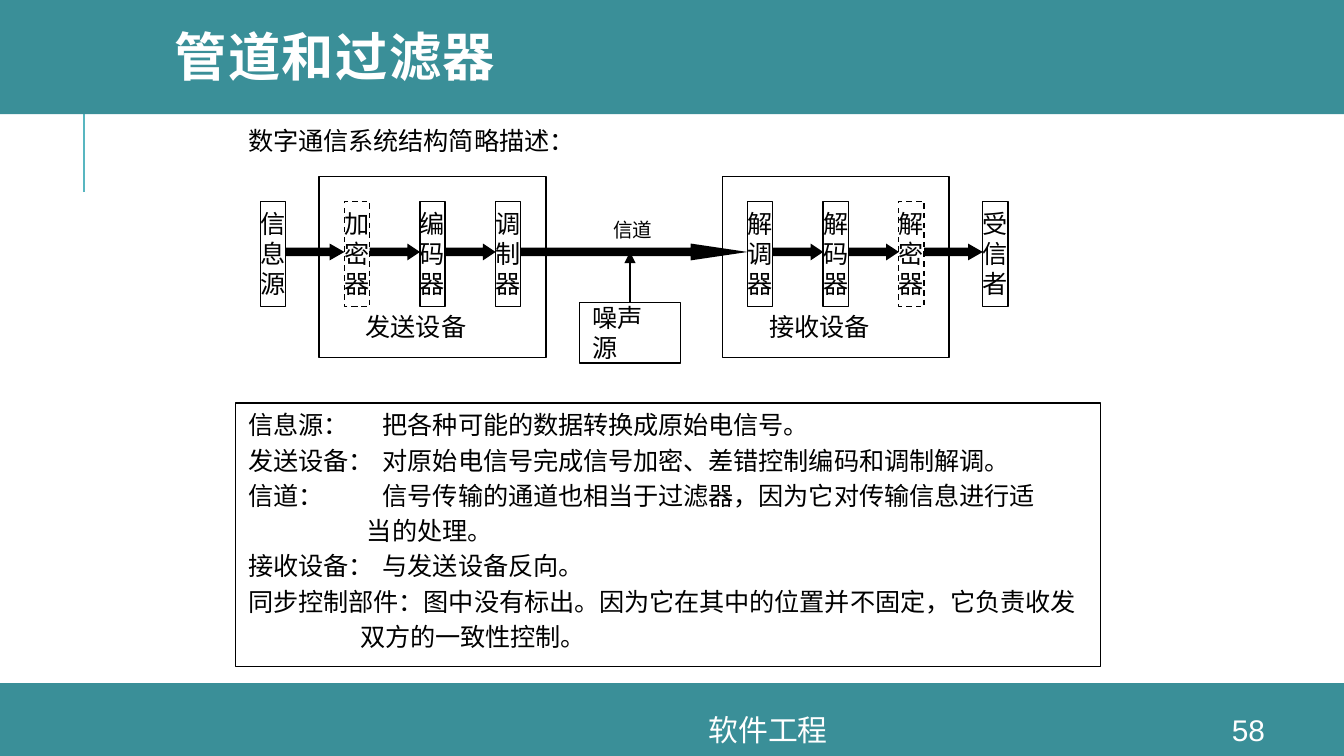
from lxml.etree import SubElement
from pptx import Presentation
from pptx.dml.color import RGBColor
from pptx.enum.dml import MSO_LINE
from pptx.enum.shapes import MSO_CONNECTOR, MSO_SHAPE
from pptx.enum.text import MSO_ANCHOR, PP_ALIGN
from pptx.oxml.ns import qn
from pptx.util import Pt

TEAL = RGBColor(0x3A, 0x8F, 0x98)
AQUA = RGBColor(0x58, 0xB6, 0xC0)
BLACK = RGBColor(0, 0, 0)
WHITE = RGBColor(255, 255, 255)

deck = Presentation()
deck.slide_width, deck.slide_height = Pt(720), Pt(405)
slide = deck.slides.add_slide(deck.slide_layouts[6])
shapes = slide.shapes


def add_box(x, y, w, h, text="", size=13.5, color=BLACK, fill=None, line=None,
            kind=MSO_SHAPE.RECTANGLE, inset=(7.2, 3.6, 7.2, 3.6),
            anchor=MSO_ANCHOR.TOP, align=PP_ALIGN.LEFT):
    """Add a shape, unfilled and unlined unless colours are given."""
    box = shapes.add_shape(kind, Pt(x), Pt(y), Pt(w), Pt(h))
    box.shadow.inherit = False
    if fill is None:
        box.fill.background()
    else:
        box.fill.solid()
        box.fill.fore_color.rgb = fill
    if line is None:
        box.line.fill.background()
    else:
        box.line.color.rgb = line
        box.line.width = Pt(0.75)
    frame = box.text_frame
    frame.word_wrap = True
    frame.vertical_anchor = anchor
    frame.margin_left, frame.margin_top, frame.margin_right, frame.margin_bottom = map(Pt, inset)
    frame.text = text
    for para in frame.paragraphs:
        para.alignment = align
        para.font.size = Pt(size)
        para.font.name = "Arial"
        para.font.color.rgb = color
    return box


def add_line(x1, y1, x2, y2, color, width):
    line = shapes.add_connector(MSO_CONNECTOR.STRAIGHT, Pt(x1), Pt(y1), Pt(x2), Pt(y2))
    line.line.color.rgb = color
    line.line.width = Pt(width)
    SubElement(line._element.spPr, qn("a:effectLst"))
    return line


# Bands, title and footer
add_line(45, 103, 45, 49, AQUA, 1.5)
add_box(0, 366, 720, 39, fill=TEAL)
add_box(0, -2, 720, 63.2, fill=TEAL)
title = add_box(86.4, 0, 611, 65.5, "管道和过滤器", 28, WHITE, anchor=MSO_ANCHOR.MIDDLE)
para = title.text_frame.paragraphs[0]
para.line_spacing = 0.8
run = para.runs[0]
run.font.name = "Montserrat"
run.font.bold = True
run.font.size = Pt(28)
run.font.color.rgb = WHITE
run._r.get_or_add_rPr().set("spc", "80")
for x, w, text in [(188, 447, "软件工程"), (640, 57.6, "58")]:
    add_box(x, 382.3, w, 16.6, text, 16, WHITE,
            anchor=MSO_ANCHOR.MIDDLE, align=PP_ALIGN.CENTER)

add_box(126, 63.4, 184.5, 23.8, "数字通信系统结构简略描述：")

# Devices around the filters
for x, text in [(171, "发送设备"), (387, "接收设备")]:
    add_box(x, 94.5, 121.5, 97, text, line=BLACK,
            inset=(25, 3.6, 7.2, 8.4), anchor=MSO_ANCHOR.BOTTOM)

# Filters
wide = 13.5
filters = [(139.5, "信息源"), (184.5, "加密器"), (225, "编码器"), (265.5, "调制器"),
           (400.5, "解调器"), (441, "解码器"), (481.5, "解密器"), (526.5, "受信者")]
for x, text in filters:
    box = add_box(x, 108, wide, 56.25, text, line=BLACK, inset=(0, 3.6, 0, 3.6))
    if text in ("加密器", "解密器"):
        box.line.dash_style = MSO_LINE.DASH

# Pipes from each filter to the next
for (left, _), (right, _) in zip(filters, filters[1:]):
    span = right - left - wide
    pipe = add_box(left + wide, 130.5, span, 9, fill=BLACK, kind=MSO_SHAPE.RIGHT_ARROW)
    pipe.adjustments[0] = 0.5
    pipe.adjustments[1] = span / 36

# Channel and noise
add_box(328.5, 117, 22.5, 13, "信道", 10.5, inset=(0, 0, 0, 0))
add_box(310.5, 162, 54, 32.4, "噪声源", line=BLACK, inset=(7.2, 0, 7.2, 0))
noise = add_line(337.5, 162, 337.5, 135, BLACK, 0.75)
SubElement(noise.line._get_or_add_ln(), qn("a:tailEnd"), type="triangle")

# Definitions: text, tab stop after the term, left margin
notes = [
    ("信息源：\t把各种可能的数据转换成原始电信号。", 81, 0),
    ("发送设备：\t对原始电信号完成信号加密、差错控制编码和调制解调。", 85, 0),
    ("信道：\t信号传输的通道也相当于过滤器，因为它对传输信息进行适", 76.5, 0),
    ("当的处理。", 0, 63.5),
    ("接收设备：\t与发送设备反向。", 85, 0),
    ("同步控制部件：图中没有标出。因为它在其中的位置并不固定，它负责收发", 0, 0),
    ("双方的一致性控制。", 0, 60),
]
panel = add_box(126, 216, 463.5, 141, "\n".join(note[0] for note in notes), line=BLACK)
for i, (para, (_, stop, margin)) in enumerate(zip(panel.text_frame.paragraphs, notes)):
    if i:
        para.space_before = Pt(2.7)
    props = para._p.get_or_add_pPr()
    props.set("marL", str(Pt(margin)))
    props.set("indent", "0")
    if stop:
        tabs = props.makeelement(qn("a:tabLst"))
        SubElement(tabs, qn("a:tab"), pos=str(Pt(stop)), algn="l")
        props.find(qn("a:defRPr")).addprevious(tabs)

deck.save("out.pptx")
